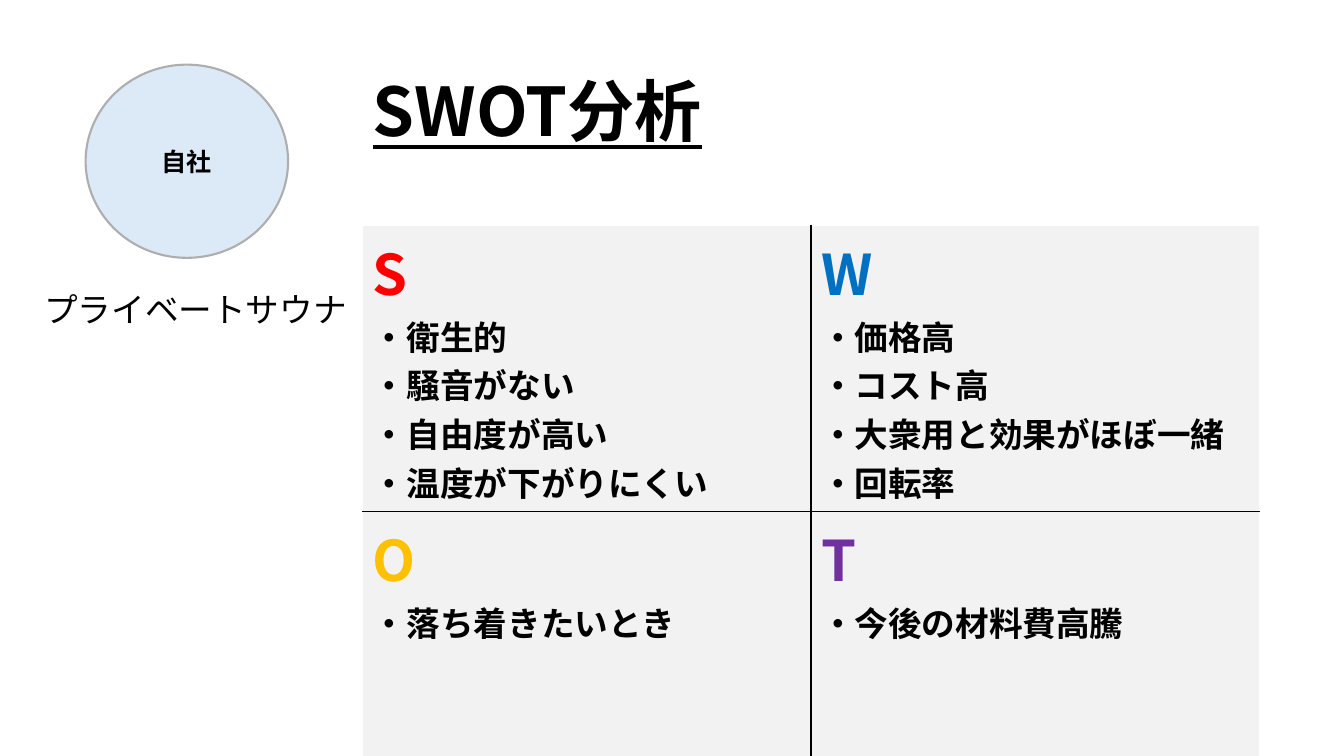
from dataclasses import dataclass

from lxml.etree import SubElement
from pptx import Presentation
from pptx.dml.color import RGBColor
from pptx.enum.shapes import MSO_SHAPE as Preset
from pptx.enum.text import MSO_ANCHOR as Anchor, MSO_AUTO_SIZE as AutoSize, PP_ALIGN as Align
from pptx.oxml.ns import qn
from pptx.slide import Slide
from pptx.util import Inches, Pt

BLACK = RGBColor(0x00, 0x00, 0x00)
WHITE = RGBColor(0xFF, 0xFF, 0xFF)
PALE_BLUE = RGBColor(0xDC, 0xEA, 0xF7)
OUTLINE_GREY = RGBColor(0xAE, 0xAE, 0xAE)
CELL_GREY = RGBColor(0xF2, 0xF2, 0xF2)
RED = RGBColor(0xFF, 0x00, 0x00)
BLUE = RGBColor(0x00, 0x70, 0xC0)
AMBER = RGBColor(0xFF, 0xC0, 0x00)
PURPLE = RGBColor(0x70, 0x30, 0xA0)

GRID_COLUMNS, GRID_ROWS = 160, 90
MATRIX_LEFT, TOP_ROW = 43.2, 7.7

SWOT = [
    [("S", RED, ["衛生的", "騒音がない", "自由度が高い", "温度が下がりにくい"]),
     ("W", BLUE, ["価格高", "コスト高", "大衆用と効果がほぼ一緒", "回転率"])],
    [("O", AMBER, ["落ち着きたいとき"]),
     ("T", PURPLE, ["今後の材料費高騰"])],
]


@dataclass
class SlideBuilder:
    slide: Slide
    width: int
    height: int
    font: str = "Noto Sans CJK JP"

    def box(self, left, top, width, height):
        column, row = self.width / GRID_COLUMNS, self.height / GRID_ROWS
        return [round(value) for value in
                (left * column, top * row, width * column, height * row)]

    def run(self, paragraph, text, size, color=BLACK, bold=True, underline=None):
        run = paragraph.add_run()
        run.text = text
        font = run.font
        font.name, font.size = self.font, Pt(size)
        font.bold, font.underline = bold, underline
        font.color.rgb = color
        east_asian = SubElement(font._element, qn("a:ea"))
        east_asian.set("typeface", self.font)

    def ellipse(self, text, *area):
        shape = self.slide.shapes.add_shape(Preset.OVAL, *self.box(*area))
        shape.shadow.inherit = False
        shape.fill.solid()
        shape.fill.fore_color.rgb = PALE_BLUE
        shape.line.color.rgb = OUTLINE_GREY
        shape.line.width = Pt(1.5)
        shape.text_frame.vertical_anchor = Anchor.MIDDLE
        paragraph = shape.text_frame.paragraphs[0]
        paragraph.alignment = Align.CENTER
        self.run(paragraph, text, 18)

    def text(self, text, size, *area, **style):
        frame = self.slide.shapes.add_textbox(*self.box(*area)).text_frame
        frame.word_wrap = True
        frame.auto_size = AutoSize.SHAPE_TO_FIT_TEXT
        self.run(frame.paragraphs[0], text, size, **style)

    def borders(self, cell, colors):
        properties = cell._tc.get_or_add_tcPr()
        for position, (side, color) in enumerate(colors.items()):
            line = SubElement(properties, qn(f"a:ln{side}"), w=str(Pt(1)))
            fill = SubElement(line, qn("a:solidFill"))
            SubElement(fill, qn("a:srgbClr"), val=str(color))
            properties.insert(position, line)

    def matrix(self, quadrants, *area):
        rows, columns = len(quadrants), len(quadrants[0])
        table = self.slide.shapes.add_table(rows, columns, *self.box(*area)).table
        table.first_row = table.horz_banding = False
        for row, line in enumerate(quadrants):
            for column, (letter, color, points) in enumerate(line):
                cell = table.cell(row, column)
                cell.fill.solid()
                cell.fill.fore_color.rgb = CELL_GREY
                self.borders(cell, {
                    "L": BLACK if column > 0 else WHITE,
                    "R": BLACK if column < columns - 1 else WHITE,
                    "T": BLACK if row > 0 else WHITE,
                    "B": BLACK if row < rows - 1 else WHITE,
                })
                frame = cell.text_frame
                self.run(frame.paragraphs[0], letter, 40, color)
                for point in points:
                    self.run(frame.add_paragraph(), f"・{point}", 24)


def main():
    presentation = Presentation()
    presentation.slide_width, presentation.slide_height = Inches(13.33), Inches(7.5)
    slide = presentation.slides.add_slide(presentation.slide_layouts[6])
    builder = SlideBuilder(slide, presentation.slide_width, presentation.slide_height)
    builder.ellipse("自社", 10.2, TOP_ROW, 24.1, 23)
    builder.matrix(SWOT, MATRIX_LEFT, 26.8, 106.7, 58.6)
    builder.text("プライベートサウナ", 24, 4.1, 33.8, 42.4, 6, bold=False)
    builder.text("SWOT分析", 48, MATRIX_LEFT, TOP_ROW, 56.5, 10.9, underline=True)
    presentation.save("out.pptx")


if __name__ == "__main__":
    main()
